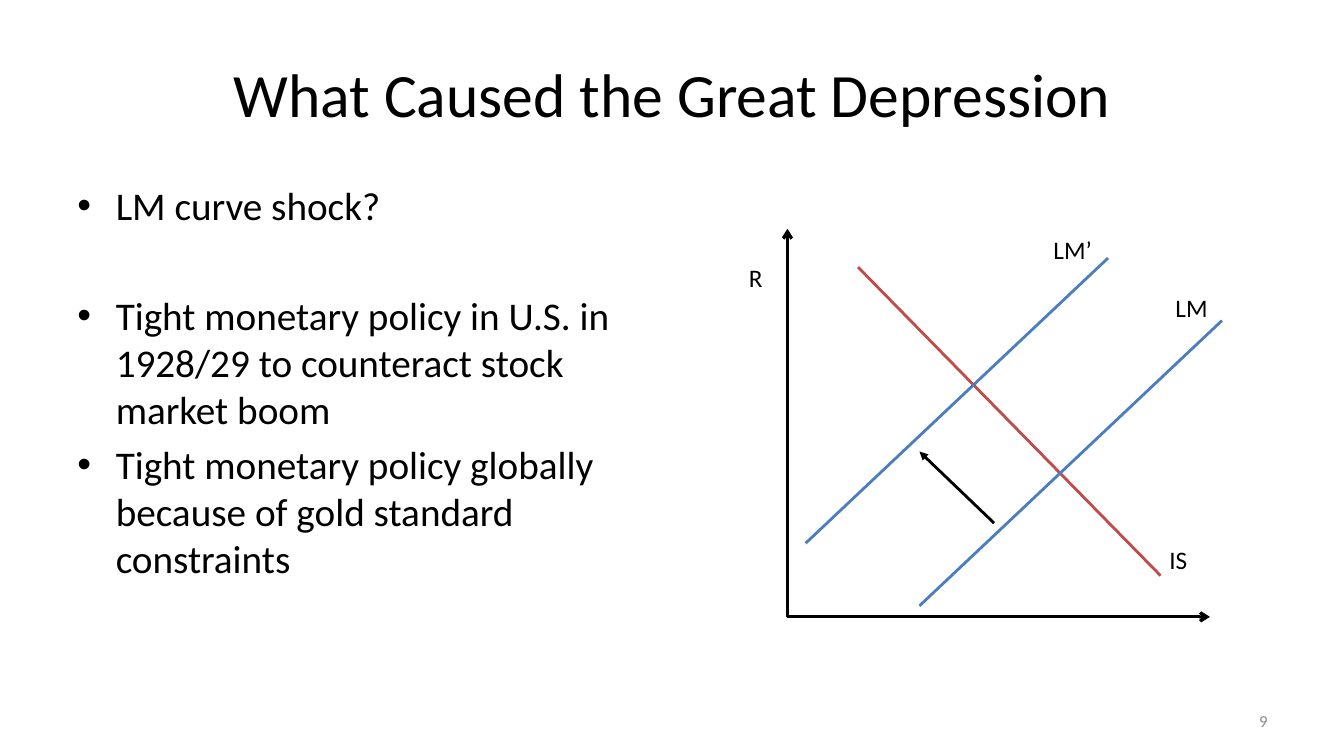
from pptx import Presentation
from pptx import util as u
from pptx.dml.color import RGBColor
from pptx.enum import shapes, text
from pptx.oxml.ns import qn
from lxml import etree


def tint(code):
    """Turn a hex string into a colour."""
    return RGBColor.from_string(code)


class Deck:
    """Holds the style and the current slide."""

    font = "Calibri"
    ink = "000000"
    blue = "4B7EBC"
    red = "BF4C48"
    gray = "8C8C8C"

    def __init__(self):
        """Open a deck with one blank slide."""
        self.prs = Presentation()
        self.prs.slide_width = u.Inches(13.33)
        self.prs.slide_height = u.Inches(7.5)
        self.slide = self.prs.slides.add_slide(self.prs.slide_layouts[6])

    def frame(self, box, anchor="TOP", wrap=True):
        """Add an empty text box and return its frame."""
        shape = self.slide.shapes.add_textbox(*map(u.Inches, box))
        frame = shape.text_frame
        frame.word_wrap = wrap
        frame.vertical_anchor = text.MSO_ANCHOR[anchor]
        return frame

    def run(self, para, words, size, color=ink):
        """Add one styled run."""
        run = para.add_run()
        run.text = words
        run.font.name = self.font
        run.font.size = u.Pt(size)
        run.font.color.rgb = tint(color)

    def label(self, words, box, size, color=ink, align="LEFT",
              anchor="TOP", wrap=True):
        """Add a text box of one line."""
        para = self.frame(box, anchor, wrap).paragraphs[0]
        para.alignment = text.PP_ALIGN[align]
        self.run(para, words, size, color)

    def bullets(self, items, box, size):
        """Add bulleted paragraphs, each with its space before."""
        frame = self.frame(box)
        for i, (words, gap) in enumerate(items):
            para = frame.add_paragraph() if i else frame.paragraphs[0]
            props = para._p.get_or_add_pPr()
            props.set("marL", str(u.Inches(0.38)))
            props.set("indent", str(-u.Inches(0.38)))
            para.space_before = u.Pt(gap)
            etree.SubElement(props, qn("a:buFont"), typeface="Arial")
            etree.SubElement(props, qn("a:buChar"), char="•")
            self.run(para, words, size)

    def line(self, start, end, color=ink, width=2, tip=None):
        """Add a straight line, with an arrowhead if a tip is named."""
        link = self.slide.shapes.add_connector(
            shapes.MSO_CONNECTOR.STRAIGHT, *map(u.Inches, start + end))
        link.line.color.rgb = tint(color)
        link.line.width = u.Pt(width)
        if tip:
            etree.SubElement(link.line._get_or_add_ln(), qn("a:tailEnd"), type=tip)
        etree.SubElement(link._element.spPr, qn("a:effectLst"))


def main():
    """Build the slide and save it."""
    deck = Deck()
    deck.label("What Caused the Great Depression", (0.67, 0.3, 12, 1.25), 44,
               align="CENTER", anchor="MIDDLE")
    deck.bullets([
        ("LM curve shock?", 0),
        ("Tight monetary policy in U.S. in 1928/29 to counteract stock market boom", 45),
        ("Tight monetary policy globally because of gold standard constraints", 5.6),
    ], (0.67, 1.75, 6, 4.95), 28)
    deck.label("9", (9.56, 6.95, 3.11, 0.4), 12, deck.gray, "RIGHT", "MIDDLE")

    zero = (7.81, 6.12)
    for end in ((7.81, 2.27), (12, 6.12)):
        deck.line(zero, end, width=2.25, tip="arrow")
    deck.line((8.51, 2.65), (11.51, 5.71), deck.red)
    for x, y in ((9.12, 6.01), (7.99, 5.39)):
        deck.line((x, y), (x + 3, y - 2.83), deck.blue)
    deck.line((9.86, 5.19), (9.12, 4.48), tip="triangle")

    for words, x, y, wide in (("IS", 11.5, 5.35, 0.38), ("R", 7.33, 2.55, 0.38),
                              ("LM", 11.56, 2.85, 0.52), ("LM’", 10.35, 2.28, 0.59)):
        deck.label(words, (x, y, wide, 0.4), 18, wrap=False)
    deck.prs.save("out.pptx")


if __name__ == "__main__":
    main()
